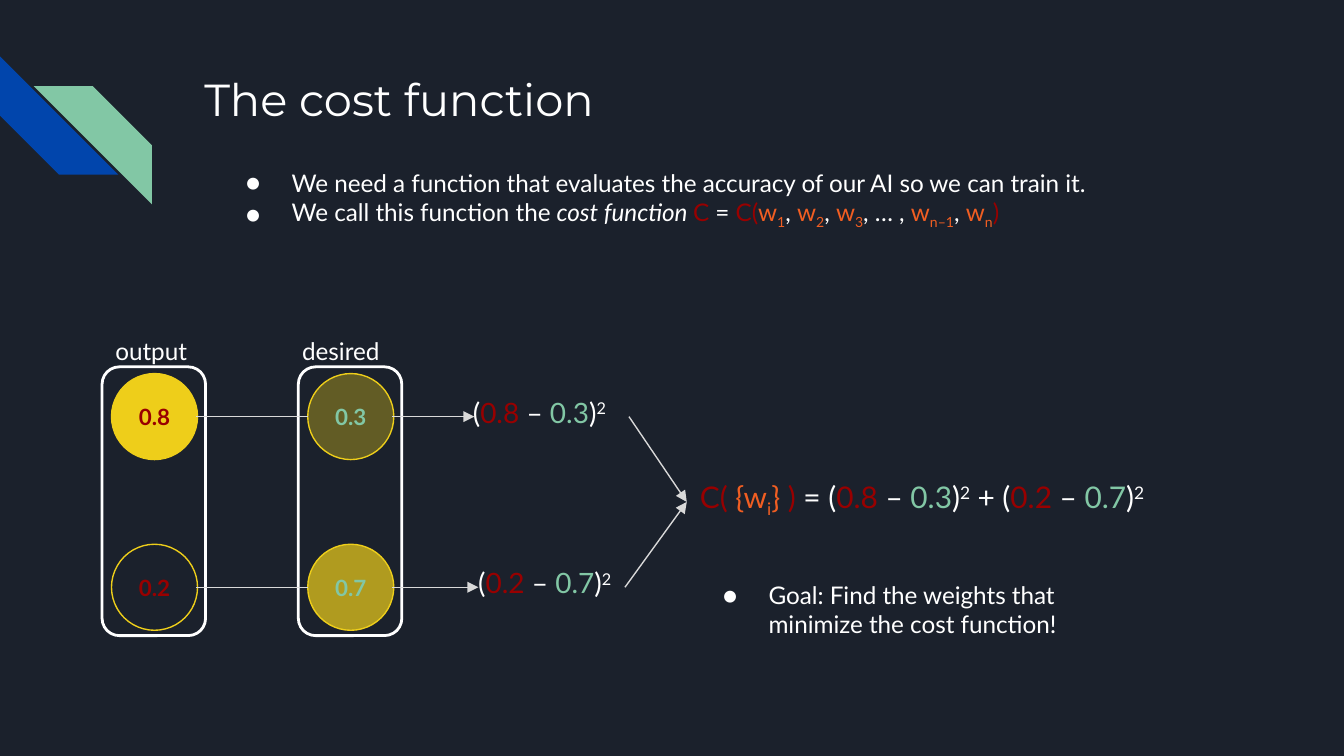
from lxml.etree import SubElement
from pptx import Presentation
from pptx.dml.color import RGBColor
from pptx.enum.shapes import MSO_CONNECTOR, MSO_SHAPE
from pptx.enum.text import MSO_ANCHOR, MSO_AUTO_SIZE, PP_ALIGN
from pptx.oxml.ns import qn
from pptx.util import Inches, Pt

COLORS = {
    "bg": "1B212C", "white": "FFFFFF", "blue": "0145AC", "green": "82C7A5",
    "red": "980000", "orange": "F15E22", "yellow": "EECE1A", "gray": "D9D9D9",
}


def rgb(name):
    """Return the palette colour of that name."""
    return RGBColor.from_string(COLORS[name])


def set_frame(tf, anchor=MSO_ANCHOR.TOP):
    """Give a text frame equal insets, wrapping and a fixed size."""
    settings = {
        "word_wrap": True, "auto_size": MSO_AUTO_SIZE.NONE, "vertical_anchor": anchor,
        "margin_left": Inches(0.1), "margin_right": Inches(0.1),
        "margin_top": Inches(0.1), "margin_bottom": Inches(0.1),
    }
    for name, value in settings.items():
        setattr(tf, name, value)


def add_runs(p, runs, size, font="Lato", bold=False):
    """Fill a paragraph from (text, colour, baseline, italic) tuples."""
    for text, color, *extra in runs:
        baseline, italic = extra + [0, False][len(extra):]
        r = p.add_run()
        r.text = text
        for name, value in {"name": font, "size": Pt(size), "bold": bold, "italic": italic}.items():
            setattr(r.font, name, value)
        r.font.color.rgb = rgb(color)
        if baseline:
            r.font._element.set("baseline", str(baseline * 1000))


def add_bullet(p):
    """Give a paragraph a white round bullet with a hanging indent."""
    pPr = p._p.get_or_add_pPr()
    pPr.set("marL", str(Inches(0.5)))
    pPr.set("indent", str(Inches(-0.34)))
    color = SubElement(pPr, qn("a:buClr"))
    SubElement(color, qn("a:srgbClr"), val=COLORS["white"])
    SubElement(pPr, qn("a:buFont"), typeface="Lato")
    SubElement(pPr, qn("a:buChar"), char="●")
    p.space_before = Pt(0)


def fill_bullets(tf, items):
    """Write a bulleted list into a text frame."""
    set_frame(tf)
    for i, runs in enumerate(items):
        p = tf.add_paragraph() if i else tf.paragraphs[0]
        add_bullet(p)
        add_runs(p, runs, 13)


def place(s, x, y, w, h):
    """Move a shape to a box given in inches."""
    s.left, s.top, s.width, s.height = map(Inches, (x, y, w, h))


def add_text(slide, box, runs, size):
    """Add a one-paragraph text box."""
    s = slide.shapes.add_textbox(*map(Inches, box))
    set_frame(s.text_frame)
    add_runs(s.text_frame.paragraphs[0], runs, size)
    return s


def add_shape(slide, kind, box, fill=None, line=None, width=0.75, alpha=100):
    """Add a preset shape with optional fill, outline and opacity."""
    s = slide.shapes.add_shape(kind, *map(Inches, box))
    s.shadow.inherit = False
    if fill:
        s.fill.solid()
        s.fill.fore_color.rgb = rgb(fill)
        if alpha < 100:
            color = s._element.spPr.find(".//" + qn("a:srgbClr"))
            SubElement(color, qn("a:alpha"), val=str(alpha * 1000))
    else:
        s.fill.background()
    if line:
        s.line.color.rgb = rgb(line)
        s.line.width = Pt(width)
    else:
        s.line.fill.background()
    return s


def add_line(slide, x1, y1, x2, y2, arrow=True):
    """Add a thin gray line, with an arrowhead at its end if wanted."""
    s = slide.shapes.add_connector(MSO_CONNECTOR.STRAIGHT, *map(Inches, (x1, y1, x2, y2)))
    s.line.color.rgb = rgb("gray")
    s.line.width = Pt(0.75)
    if arrow:
        SubElement(s.line._get_or_add_ln(), qn("a:tailEnd"), type="triangle")
    SubElement(s._element.spPr, qn("a:effectLst"))
    return s


def add_corner(slide, x, y):
    """Add the two diagonal stripes."""
    size = 0.88
    blue = add_shape(slide, MSO_SHAPE.DIAGONAL_STRIPE, (x, y, size, size), "blue")
    blue.rotation = 270
    green = add_shape(slide, MSO_SHAPE.DIAGONAL_STRIPE, (x + 0.25, y + 0.22, size, size), "green")
    green._element.spPr.find(qn("a:xfrm")).set("flipH", "1")


def add_layer(slide, x, y, label, label_box, color, nodes):
    """Add a labelled column of neurons from (value, opacity) pairs."""
    add_shape(slide, MSO_SHAPE.ROUNDED_RECTANGLE, (x, y, 0.77, 2), line="white", width=1.5)
    for i, (value, alpha) in enumerate(nodes):
        s = add_shape(slide, MSO_SHAPE.OVAL, (x + 0.07, y + 0.05 + 1.27 * i, 0.64, 0.64),
                      "yellow" if alpha else None, "yellow", alpha=alpha)
        set_frame(s.text_frame, MSO_ANCHOR.MIDDLE)
        p = s.text_frame.paragraphs[0]
        p.alignment = PP_ALIGN.CENTER
        add_runs(p, [(value, color)], 12, bold=True)
    dx, width = label_box
    add_text(slide, (x + dx, y - 0.33, width, 0.29), [(label, "white")], 13)


def weight(sub):
    """Return the runs of a weight with its subscript."""
    return [("w", "orange"), (sub, "orange", -25)]


def squared(output, desired):
    """Return the runs of a squared difference."""
    return [("(", "white"), (output, "red"), (" – ", "white"), (desired, "green"),
            (")", "white"), ("2", "white", 30)]


def add_header(slide):
    """Fill the title and the list below it."""
    title, body = slide.placeholders
    place(title, 1.42, 0.43, 7.7, 1)
    set_frame(title.text_frame)
    p = title.text_frame.paragraphs[0]
    p.alignment = PP_ALIGN.LEFT
    add_runs(p, [("The cost function", "white")], 24, "Montserrat")
    place(body, 1.57, 1.15, 8.27, 0.52)
    definition = [("We call this function the ", "white"), ("cost function ", "white", 0, True),
                  ("C", "red"), (" = ", "white"), ("C(", "red")]
    for sub, gap in (("1", ", "), ("2", ", "), ("3", ", … , "), ("n–1", ", ")):
        definition += weight(sub) + [(gap, "white")]
    definition += weight("n") + [(")", "red")]
    intro = "We need a function that evaluates the accuracy of our AI so we can train it."
    fill_bullets(body.text_frame, [[(intro, "white")], definition])


def add_diagram(slide, x, y):
    """Add both layers, the squared terms and the resulting cost."""
    outputs, desired = ("0.8", "0.2"), ("0.3", "0.7")
    add_layer(slide, x, y, "output", (0, 0.77), "red", zip(outputs, (100, 0)))
    add_layer(slide, x + 1.46, y, "desired", (-0.07, 1), "green", zip(desired, (34, 71)))
    terms = [squared(*pair) for pair in zip(outputs, desired)]
    cost = [("C( ", "red"), ("{w", "orange"), ("i", "orange", -25), ("} ", "orange"),
            (") ", "red"), ("= ", "white"), *terms[0], (" + ", "white"), *terms[1]]
    total = add_text(slide, (x + 4.35, y + 0.73, 3.66, 0.55), cost, 16)
    for i, (term, dx, tip, start) in enumerate(zip(terms, (2.66, 2.7), (2.77, 2.8), (3.92, 3.89))):
        row = y + 0.37 + 1.27 * i
        add_line(slide, x + 0.7, row, x + 1.53, row, arrow=False)
        add_line(slide, x + 2.16, row, x + tip, row)
        box = add_text(slide, (x + dx, row - 0.26, 1.26, 0.52), term, 15)
        arrow = add_line(slide, x + start, row, x + 4.35, y + 1)
        if i == 0:
            arrow.begin_connect(box, 3)
        arrow.end_connect(total, 1)


def add_goal(slide, x, y):
    """Add the closing bullet."""
    s = slide.shapes.add_textbox(*map(Inches, (x, y, 3.42, 0.77)))
    goal = "Goal: Find the weights that minimize the cost function!"
    fill_bullets(s.text_frame, [[(goal, "white")]])


def main():
    """Build the slide and save it."""
    prs = Presentation()
    prs.slide_width = Inches(10)
    prs.slide_height = prs.slide_width * 9 // 16
    slide = prs.slides.add_slide(prs.slide_layouts[1])
    slide.background.fill.solid()
    slide.background.fill.fore_color.rgb = rgb("bg")
    add_corner(slide, 0, 0.42)
    add_header(slide)
    add_diagram(slide, 0.76, 2.73)
    add_goal(slide, 5.12, 4.22)
    prs.save("out.pptx")


if __name__ == "__main__":
    main()
